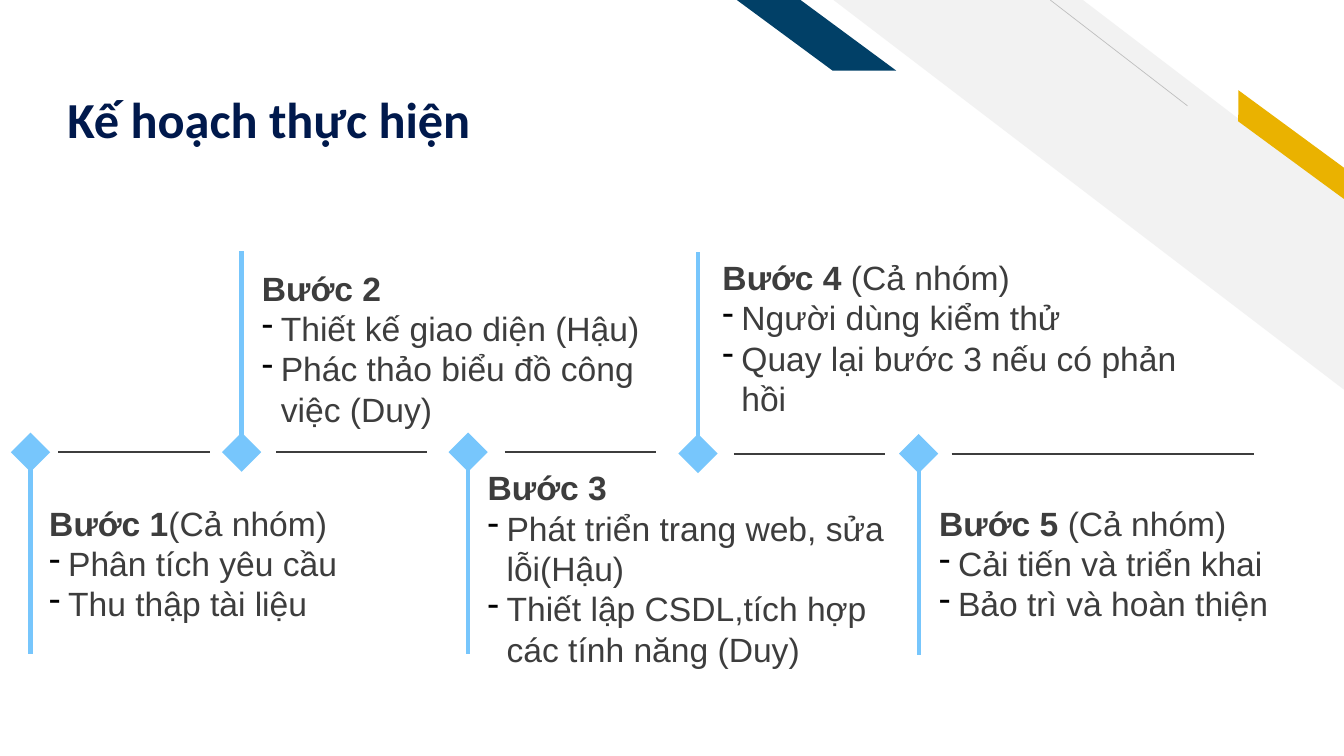
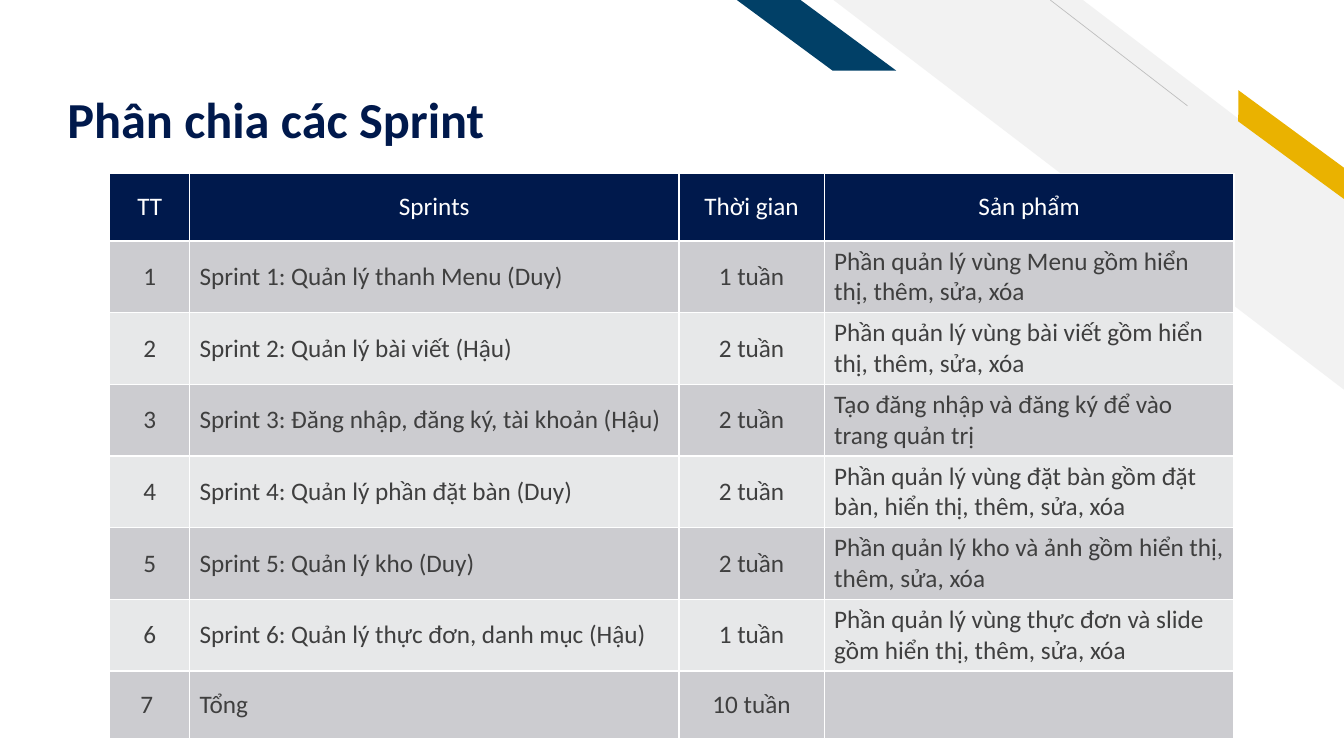
from lxml import etree
from pptx import Presentation
from pptx import util as u
from pptx.dml import color
from pptx.enum import shapes, text
from pptx.oxml import ns

COLOURS = {
    "navy": "00194C", "teal": "014067", "gold": "EAB200", "band": "F2F2F2",
    "hairline": "BFBFBF", "sky": "77C6FC", "ink": "3D3D3D", "body": "3F3F3F",
    "white": "FFFFFF", "black": "000000", "odd": "CCCCD0", "even": "E7E8E9",
}
LEFT, CENTER = text.PP_ALIGN.LEFT, text.PP_ALIGN.CENTER
MIDDLE = text.MSO_ANCHOR.MIDDLE


def rgb(name):
    return color.RGBColor.from_string(COLOURS[name])


def add_xml(parent, tag, **attributes):
    return etree.SubElement(parent, ns.qn(tag), attributes)


class Deck:
    def __init__(self):
        self.prs = Presentation()
        self.prs.slide_width, self.prs.slide_height = u.Pt(960), u.Pt(540)
        self.slide = None

    def new_slide(self, title):
        self.slide = self.prs.slides.add_slide(self.prs.slide_layouts[6])
        self.bands()
        heading = self.text_frame((41, 12.3, 656, 94.5), (7.2, 3.6, 7.2, 0), text.MSO_ANCHOR.BOTTOM)
        paragraph = heading.paragraphs[0]
        paragraph.text = title
        paragraph.line_spacing = 0.9
        self.style(paragraph.runs[0], 36, "Calibri", "navy", True)

    def bands(self):
        preset = shapes.MSO_SHAPE
        self.shape(preset.DIAGONAL_STRIPE, (595.4, 0, 365, 278.6), "band", 0.512)
        self.line((848.2, 75.6), (750.2, 0), "hairline", 0.5)
        self.shape(preset.PARALLELOGRAM, (869, 94.3, 106.6, 18), "gold", 0.72, 36.3)
        self.shape(preset.PARALLELOGRAM, (526.3, 0, 113.8, 50.4), "teal", 1.356)

    def style(self, run, size, font, colour, bold=False):
        run.font.size, run.font.name, run.font.bold = u.Pt(size), font, bold
        run.font.color.rgb = rgb(colour)

    def text_frame(self, box, insets, anchor):
        frame = self.slide.shapes.add_textbox(*map(u.Pt, box)).text_frame
        frame.word_wrap = True
        frame.vertical_anchor = anchor
        (frame.margin_left, frame.margin_top,
         frame.margin_right, frame.margin_bottom) = map(u.Pt, insets)
        return frame

    def shape(self, preset, box, colour, adjustment=None, rotation=0):
        figure = self.slide.shapes.add_shape(preset, *map(u.Pt, box))
        figure.shadow.inherit = False
        figure.fill.solid()
        figure.fill.fore_color.rgb = rgb(colour)
        figure.line.fill.background()
        figure.rotation = rotation
        if adjustment is not None:
            figure.adjustments[0] = adjustment
            figure._element.spPr.xfrm.set("flipH", "1")

    def line(self, start, end, colour, width):
        rule = self.slide.shapes.add_connector(
            shapes.MSO_CONNECTOR.STRAIGHT, *map(u.Pt, start + end))
        rule.line.color.rgb = rgb(colour)
        rule.line.width = u.Pt(width)
        add_xml(rule._element.spPr, "a:effectLst")

    def step(self, box, name, owner, tasks):
        frame = self.text_frame(box, (7.2,) * 4, MIDDLE)
        heading = frame.paragraphs[0]
        for words, bold in ((name, True), (owner, False)):
            if words:
                run = heading.add_run()
                run.text = words
                self.style(run, 24, "Arial", "ink", bold)
        for task in tasks:
            item = frame.add_paragraph()
            item.text = task
            self.style(item.runs[0], 24, "Arial", "ink")
            self.dash(item)

    def dash(self, paragraph):
        indent = u.Pt(13.5)
        props = paragraph._p.get_or_add_pPr()
        props.set("marL", str(indent))
        props.set("indent", str(-indent))
        add_xml(add_xml(props, "a:buClr"), "a:srgbClr", val=COLOURS["black"])
        add_xml(props, "a:buChar", char="-")

    def table(self, origin, widths, heights, rows, aligns):
        size = (sum(widths), sum(heights))
        grid = self.slide.shapes.add_table(
            len(rows), len(widths), *map(u.Pt, origin + size)).table
        for column, width in zip(grid.columns, widths):
            column.width = u.Pt(width)
        for r, values in enumerate(rows):
            grid.rows[r].height = u.Pt(heights[r])
            fill = "navy" if r == 0 else ("even", "odd")[r % 2]
            for c, value in enumerate(values):
                self.cell(grid.cell(r, c), value, fill,
                          "white" if r == 0 else "body", CENTER if r == 0 else aligns[c])

    def cell(self, cell, value, fill, colour, align):
        for side in ("a:lnL", "a:lnR", "a:lnT", "a:lnB"):
            border = add_xml(cell._tc.get_or_add_tcPr(), side, w=str(u.Pt(1)))
            add_xml(add_xml(border, "a:solidFill"), "a:srgbClr", val=COLOURS["white"])
        cell.fill.solid()
        cell.fill.fore_color.rgb = rgb(fill)
        cell.vertical_anchor = MIDDLE
        paragraph = cell.text_frame.paragraphs[0]
        paragraph.text = value
        paragraph.alignment = align
        for run in paragraph.runs:
            self.style(run, 18, "Calibri", colour)


STEM, DIAMOND = 144, 28
STEPS = [
    ((21.8, 323), STEM, (41.8, 108), (28.1, 337, 251.3, 130.3), "Bước 1", "(Cả nhóm)",
     ["Phân tích yêu cầu", "Thu thập tài liệu"]),
    ((172.6, 323), -STEM, (197.3, 108), (180, 183.6, 294.5, 130.3), "Bước 2", "",
     ["Thiết kế giao diện (Hậu)", "Phác thảo biểu đồ công việc (Duy)"]),
    ((334.4, 323), STEM, (360.7, 108), (341.3, 340.6, 313.9, 130.3), "Bước 3", "",
     ["Phát triển trang web, sửa lỗi(Hậu)", "Thiết lập CSDL,tích hợp các tính năng (Duy)"]),
    ((498.6, 324), -STEM, (524.2, 108), (509, 169.2, 366.5, 144), "Bước 4", " (Cả nhóm)",
     ["Người dùng kiểm thử", "Quay lại bước 3 nếu có phản hồi"]),
    ((656.2, 324), STEM, (679.7, 216), (663.8, 337, 296.6, 130.3), "Bước 5 ", "(Cả nhóm)",
     ["Cải tiến và triển khai", "Bảo trì và hoàn thiện"]),
]

SPRINTS = [
    ("TT", "Sprints", "Thời gian", "Sản phẩm"),
    ("1", "Sprint 1: Quản lý thanh Menu (Duy)", "1 tuần",
     "Phần quản lý vùng Menu gồm hiển thị, thêm, sửa, xóa"),
    ("2", "Sprint 2: Quản lý bài viết (Hậu)", "2 tuần",
     "Phần quản lý vùng bài viết gồm hiển thị, thêm, sửa, xóa"),
    ("3", "Sprint 3: Đăng nhập, đăng ký, tài khoản (Hậu)", "2 tuần",
     "Tạo đăng nhập và đăng ký để vào trang quản trị"),
    ("4", "Sprint 4: Quản lý phần đặt bàn (Duy)", "2 tuần",
     "Phần quản lý vùng đặt bàn gồm đặt bàn, hiển thị, thêm, sửa, xóa"),
    ("5", "Sprint 5: Quản lý kho (Duy)", "2 tuần",
     "Phần quản lý kho và ảnh gồm hiển thị, thêm, sửa, xóa"),
    ("6", "Sprint 6: Quản lý thực đơn, danh mục (Hậu)", "1 tuần",
     "Phần quản lý vùng thực đơn và slide gồm hiển thị, thêm, sửa, xóa"),
    ("7 ", "Tổng", "10 tuần", ""),
]


def main():
    deck = Deck()
    deck.new_slide("Kế hoạch thực hiện")
    for (x, y), stem, (rule_x, rule), box, name, owner, tasks in STEPS:
        deck.line((x, y), (x, y + stem), "sky", 3)
        deck.shape(shapes.MSO_SHAPE.DIAMOND,
                   (x - DIAMOND / 2, y - DIAMOND / 2, DIAMOND, DIAMOND), "sky")
        deck.line((rule_x, y), (rule_x + rule, y), "ink", 1.5)
        deck.step(box, name, owner, tasks)

    deck.new_slide("Phân chia các Sprint")
    deck.table((78.5, 123.8), (56.9, 349.6, 103.7, 292.8), [48.4] + [51.2] * 6 + [48.4],
               SPRINTS, (CENTER, LEFT, CENTER, LEFT))
    deck.prs.save("out.pptx")


if __name__ == "__main__":
    main()
